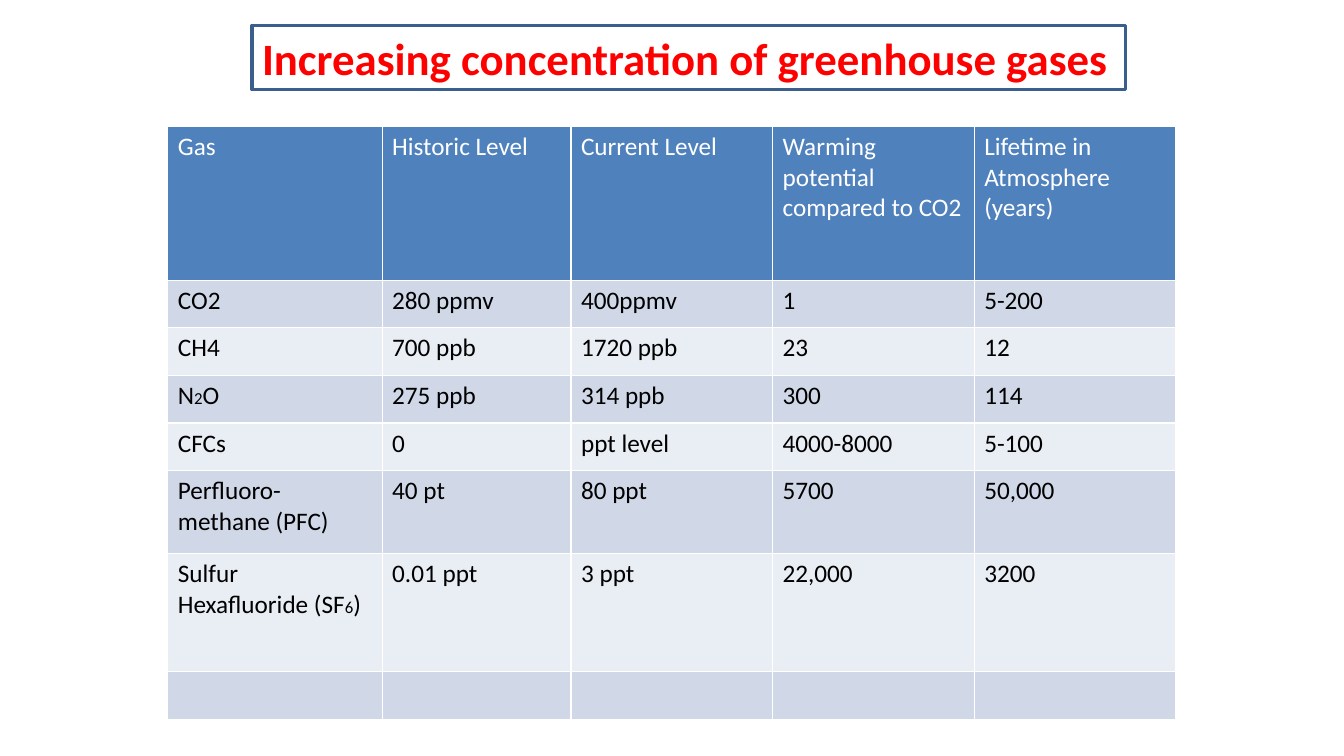
from lxml.etree import SubElement
from pptx import Presentation
from pptx.dml.color import RGBColor
from pptx.enum.shapes import MSO_SHAPE as Shape
from pptx.enum.text import MSO_ANCHOR as Anchor, MSO_AUTO_SIZE as AutoSize, PP_ALIGN as Align
from pptx.oxml.ns import qn
from pptx.util import Cm, Pt

WHITE = RGBColor(0xFF, 0xFF, 0xFF)
BLACK = RGBColor(0x00, 0x00, 0x00)
RED = RGBColor(0xFF, 0x00, 0x00)
HEADER_BLUE = RGBColor(0x4F, 0x81, 0xBD)
FRAME_BLUE = RGBColor(0x3A, 0x5F, 0x8C)
BANDS = (RGBColor(0xD0, 0xD8, 0xE8), RGBColor(0xE9, 0xED, 0xF4))

TITLE_BOX = (Cm(6.35), Cm(0.64), Cm(22.02), Cm(1.62))
COLUMN_WIDTHS = (5.4, 4.76, 5.08, 5.08, 5.08)
ROW_HEIGHTS = (3.88, 1.2, 1.2, 1.2, 1.2, 2.09, 2.98, 1.2)
GAS_ROWS = (
    ("Gas", "Historic Level", "Current Level", "Warming potential compared to CO2",
     "Lifetime in Atmosphere (years)"),
    ("CO2", "280 ppmv", "400ppmv", "1", "5-200"),
    ("CH4", "700 ppb", "1720 ppb", "23", "12"),
    ("N|2|O", "275 ppb", "314 ppb", "300", "114"),
    ("CFCs", "0", "ppt level", "4000-8000", "5-100"),
    ("Perfluoro-methane (PFC)", "40 pt", "80 ppt", "5700", "50,000"),
    ("Sulfur Hexafluoride (SF|6|)", "0.01 ppt", "3 ppt", "22,000", "3200"),
    ("",) * 5,
)


def write_text(frame, text, size=18, small_size=12, color=BLACK, bold=False, font="Calibri"):
    """Fill a text frame, setting the parts between bars in the small size."""
    paragraph = frame.paragraphs[0]
    paragraph.alignment = Align.LEFT
    paragraph.font.size = Pt(size)
    for index, part in enumerate(text.split("|")):
        if part:
            run = paragraph.add_run()
            run.text = part
            run.font.name = font
            run.font.size = Pt(small_size if index % 2 else size)
            run.font.bold = bold
            run.font.color.rgb = color


class GasSlide:
    """Hold the slide and draw its elements in one style."""

    def __init__(self, presentation):
        """Add a title-only slide."""
        self.slide = presentation.slides.add_slide(presentation.slide_layouts[5])
        self.border_width = Pt(1)

    def add_title(self, text, box):
        """Place and format the title placeholder."""
        title = self.slide.shapes.title
        title.left, title.top, title.width, title.height = box
        frame = title.text_frame
        frame.word_wrap = True
        frame.auto_size = AutoSize.NONE
        frame.vertical_anchor = Anchor.TOP
        write_text(frame, text, size=32, color=RED, bold=True)

    def add_frame(self, box):
        """Draw an unfilled rectangle."""
        shape = self.slide.shapes.add_shape(Shape.RECTANGLE, *box)
        shape.shadow.inherit = False
        shape.fill.background()
        shape.line.color.rgb = FRAME_BLUE
        shape.line.width = Pt(2.25)

    def add_borders(self, cell):
        """Give a cell thin white lines on all sides."""
        properties = cell._tc.get_or_add_tcPr()
        for side in "LRTB":
            line = SubElement(properties, qn(f"a:ln{side}"), w=str(self.border_width))
            fill = SubElement(line, qn("a:solidFill"))
            SubElement(fill, qn("a:srgbClr"), val=str(WHITE))

    def add_table(self, rows, left, top):
        """Draw the table with a header row and banded body rows."""
        graphic = self.slide.shapes.add_table(
            len(rows), len(COLUMN_WIDTHS), left, top,
            Cm(sum(COLUMN_WIDTHS)), Cm(sum(ROW_HEIGHTS)))
        table = graphic.table
        for column, width in zip(table.columns, COLUMN_WIDTHS):
            column.width = Cm(width)
        for index, (row, height, texts) in enumerate(zip(table.rows, ROW_HEIGHTS, rows)):
            row.height = Cm(height)
            for cell, text in zip(row.cells, texts):
                self.add_borders(cell)
                cell.fill.solid()
                cell.fill.fore_color.rgb = BANDS[(index - 1) % 2] if index else HEADER_BLUE
                write_text(cell.text_frame, text, color=BLACK if index else WHITE)


def main():
    """Build and save the presentation."""
    presentation = Presentation()
    presentation.slide_width = Cm(33.87)
    presentation.slide_height = Cm(19.05)
    slide = GasSlide(presentation)
    slide.add_table(GAS_ROWS, Cm(4.23), Cm(3.18))
    slide.add_title("Increasing concentration of greenhouse gases", TITLE_BOX)
    slide.add_frame(TITLE_BOX)
    presentation.save("out.pptx")


if __name__ == "__main__":
    main()
